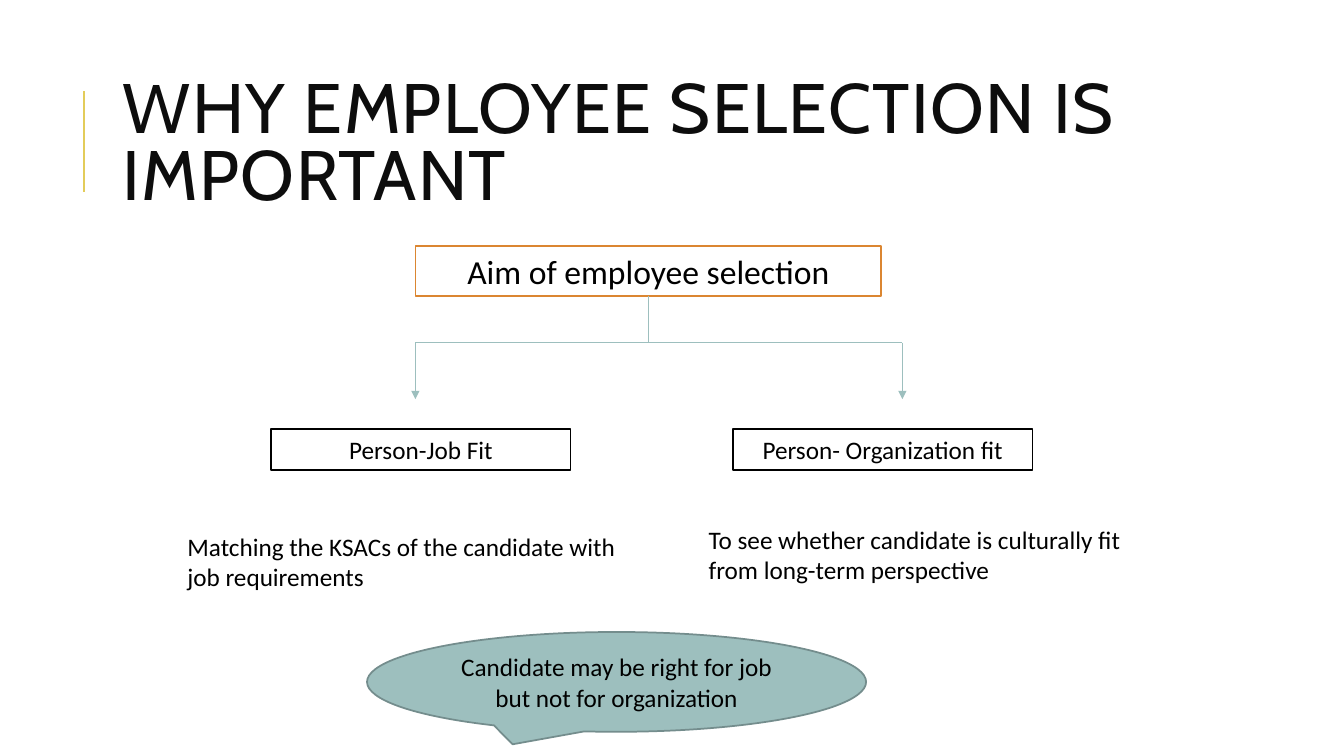
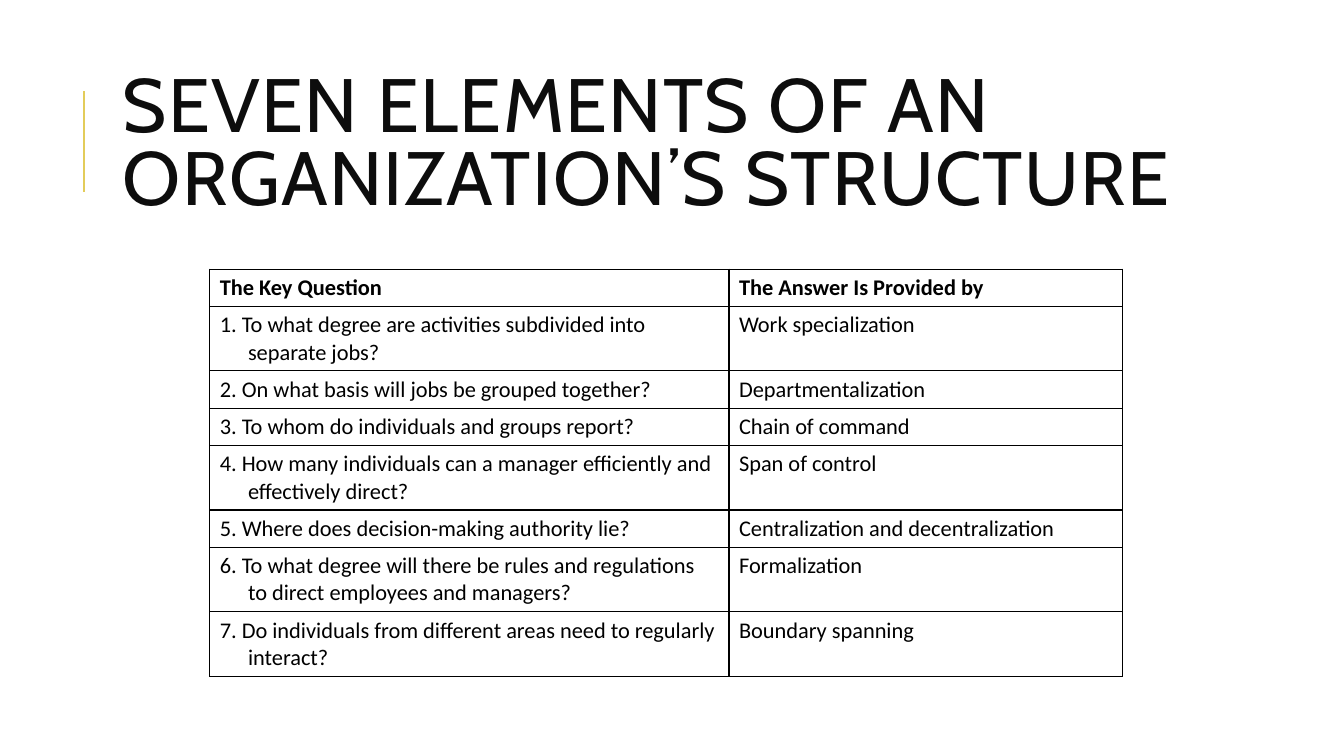
from dataclasses import dataclass
from typing import Optional

from lxml.etree import SubElement
from pptx import Presentation
from pptx.dml.color import RGBColor
from pptx.enum.shapes import MSO_CONNECTOR, MSO_SHAPE
from pptx.enum.text import MSO_ANCHOR, PP_ALIGN
from pptx.oxml import parse_xml
from pptx.oxml.ns import nsdecls, qn
from pptx.util import Emu, Pt

EMU_PER_PX = 9144  # 100 px to the inch


def px(length: int) -> Emu:
    return Emu(length * EMU_PER_PX)


@dataclass(frozen=True)
class Theme:
    heading_font: str = "Cabin"
    body_font: str = "Calibri"
    paper: str = "FFFFFF"
    ink: str = "000000"
    heading: str = "0D0D0D"
    gold: str = "E3CC5A"
    orange: str = "DB8631"
    teal: str = "9DBFBE"
    teal_edge: str = "748D8D"
    aim_size: int = 24
    body_size: int = 18
    table_size: int = 16
    bar_width: float = 1.5
    outline_width: float = 1.25
    cell_border_width: float = 1
    arrow_width: float = 0.75


THEME = Theme()


@dataclass(frozen=True)
class Box:
    text: str
    left: int
    top: int
    width: int
    height: int
    line: Optional[str] = None  # no line colour means a plain text box
    fill: str = THEME.paper
    size: int = THEME.body_size
    kind: MSO_SHAPE = MSO_SHAPE.RECTANGLE
    anchor: MSO_ANCHOR = MSO_ANCHOR.TOP


@dataclass(frozen=True)
class Row:
    question: str
    answer: str
    lines: int = 1


# Selection diagram
AIM = Box("Aim of employee selection", 412, 244, 462, 50, THEME.orange, size=THEME.aim_size)
BOXES = [
    Box("Person-Job Fit", 269, 426, 297, 40, THEME.ink),
    Box("Person- Organization fit", 727, 426, 297, 40, THEME.ink),
    Box("Matching the KSACs of the candidate with job requirements", 176, 522, 451, 71),
    Box("Candidate may be right for job but not for organization", 364, 627, 495, 99,
        THEME.teal_edge, THEME.teal, kind=MSO_SHAPE.OVAL_CALLOUT, anchor=MSO_ANCHOR.MIDDLE),
    Box("To see whether candidate is culturally fit from long-term perspective",
        693, 515, 451, 71),
]
BRANCH_XS = (412, 895)
BRANCH_TOP, BRANCH_BOTTOM = 340, 396

# Structure table
TABLE_LEFT, TABLE_TOP = 208, 267
COLUMN_WIDTHS = (515, 390)
ROW_HEIGHTS = {1: 37, 2: 64}
HANGING_INDENT = 28
HEADER = Row("The Key Question", "The Answer Is Provided by")
ROWS = [
    Row("1. To what degree are activities subdivided into separate jobs?",
        "Work specialization", 2),
    Row("2. On what basis will jobs be grouped together?", "Departmentalization"),
    Row("3. To whom do individuals and groups report?", "Chain of command"),
    Row("4. How many individuals can a manager efficiently and effectively direct?",
        "Span of control", 2),
    Row("5. Where does decision-making authority lie?", "Centralization and decentralization"),
    Row("6. To what degree will there be rules and regulations to direct employees and managers?",
        "Formalization", 2),
    Row("7. Do individuals from different areas need to regularly interact?",
        "Boundary spanning", 2),
]


def style_font(font, name: str, size: int, color: str, bold: bool = False) -> None:
    font.name, font.size, font.bold = name, Pt(size), bold
    font.color.rgb = RGBColor.from_string(color)


def draw_line(page, x1: int, y1: int, x2: int, y2: int, color: str, width: float,
              arrow: bool = False):
    line = page.shapes.add_connector(MSO_CONNECTOR.STRAIGHT, px(x1), px(y1), px(x2), px(y2))
    line.line.color.rgb = RGBColor.from_string(color)
    line.line.width = Pt(width)
    if arrow:
        SubElement(line.line._get_or_add_ln(), qn("a:tailEnd"), type="triangle")
    SubElement(line._element.spPr, qn("a:effectLst"))
    return line


def draw_box(page, box: Box):
    place = [px(length) for length in (box.left, box.top, box.width, box.height)]
    if box.line:
        shape = page.shapes.add_shape(box.kind, *place)
        shape.shadow.inherit = False
        shape.fill.solid()
        shape.fill.fore_color.rgb = RGBColor.from_string(box.fill)
        shape.line.color.rgb = RGBColor.from_string(box.line)
        shape.line.width = Pt(THEME.outline_width)
    else:
        shape = page.shapes.add_textbox(*place)
    frame = shape.text_frame
    frame.word_wrap = True
    frame.vertical_anchor = box.anchor
    para = frame.paragraphs[0]
    para.text = box.text
    para.alignment = PP_ALIGN.CENTER if box.line else PP_ALIGN.LEFT
    style_font(para.font, THEME.body_font, box.size, THEME.ink)
    return shape


def add_page(deck, title: str, title_size: int):
    """Add a blank page with the gold bar and the title."""
    page = deck.slides.add_slide(deck.slide_layouts[6])
    draw_line(page, 83, 190, 83, 90, THEME.gold, THEME.bar_width)
    frame = page.shapes.add_textbox(px(112), px(64), px(1063), px(164)).text_frame
    frame.word_wrap = True
    frame.vertical_anchor = MSO_ANCHOR.MIDDLE
    para = frame.paragraphs[0]
    para.line_spacing = 0.8
    span = para.add_run()
    span.text = title
    style_font(para.font, THEME.heading_font, title_size, THEME.heading)
    span.font._element.set("spc", "100")
    return page


def fill_cell(cell, text: str, bold: bool, hanging: bool) -> None:
    para = cell.text_frame.paragraphs[0]
    para.text = text
    if hanging:
        properties = para._p.get_or_add_pPr()
        properties.set("marL", str(px(HANGING_INDENT)))
        properties.set("indent", str(-px(HANGING_INDENT)))
    style_font(para.font, THEME.body_font, THEME.table_size, THEME.ink, bold)
    cell.fill.background()
    borders = cell._tc.get_or_add_tcPr()
    for index, side in enumerate(("lnL", "lnR", "lnT", "lnB")):
        borders.insert(index, parse_xml(
            f'<a:{side} {nsdecls("a")} w="{Pt(THEME.cell_border_width)}"><a:solidFill>'
            f'<a:srgbClr val="{THEME.ink}"/></a:solidFill></a:{side}>'))


def build_selection_page(deck) -> None:
    page = add_page(deck, "WHY EMPLOYEE SELECTION IS IMPORTANT", 50)
    aim = draw_box(page, AIM)

    # Branch from the aim to the two kinds of fit
    center = AIM.left + AIM.width // 2
    pen = (THEME.teal, THEME.arrow_width)
    stem = draw_line(page, center, AIM.top + AIM.height, center, BRANCH_TOP, *pen)
    stem.begin_connect(aim, 2)
    draw_line(page, BRANCH_XS[0], BRANCH_TOP, BRANCH_XS[1], BRANCH_TOP, *pen)
    for x in BRANCH_XS:
        draw_line(page, x, BRANCH_TOP, x, BRANCH_BOTTOM, *pen, arrow=True)

    for box in BOXES:
        draw_box(page, box)


def build_structure_page(deck) -> None:
    page = add_page(deck, "SEVEN ELEMENTS OF AN ORGANIZATION’S STRUCTURE", 54)
    rows = [HEADER, *ROWS]
    heights = [ROW_HEIGHTS[row.lines] for row in rows]
    table = page.shapes.add_table(len(rows), len(COLUMN_WIDTHS), px(TABLE_LEFT), px(TABLE_TOP),
                                  px(sum(COLUMN_WIDTHS)), px(sum(heights))).table
    table.first_row = True
    table.horz_banding = False
    for column, width in zip(table.columns, COLUMN_WIDTHS):
        column.width = px(width)
    for index, (row, height) in enumerate(zip(rows, heights)):
        table.rows[index].height = px(height)
        is_header = row is HEADER
        fill_cell(table.cell(index, 0), row.question, is_header, hanging=not is_header)
        fill_cell(table.cell(index, 1), row.answer, is_header, hanging=False)


def main() -> None:
    deck = Presentation()
    deck.slide_width, deck.slide_height = px(1333), px(750)
    build_selection_page(deck)
    build_structure_page(deck)
    deck.save("out.pptx")


if __name__ == "__main__":
    main()
